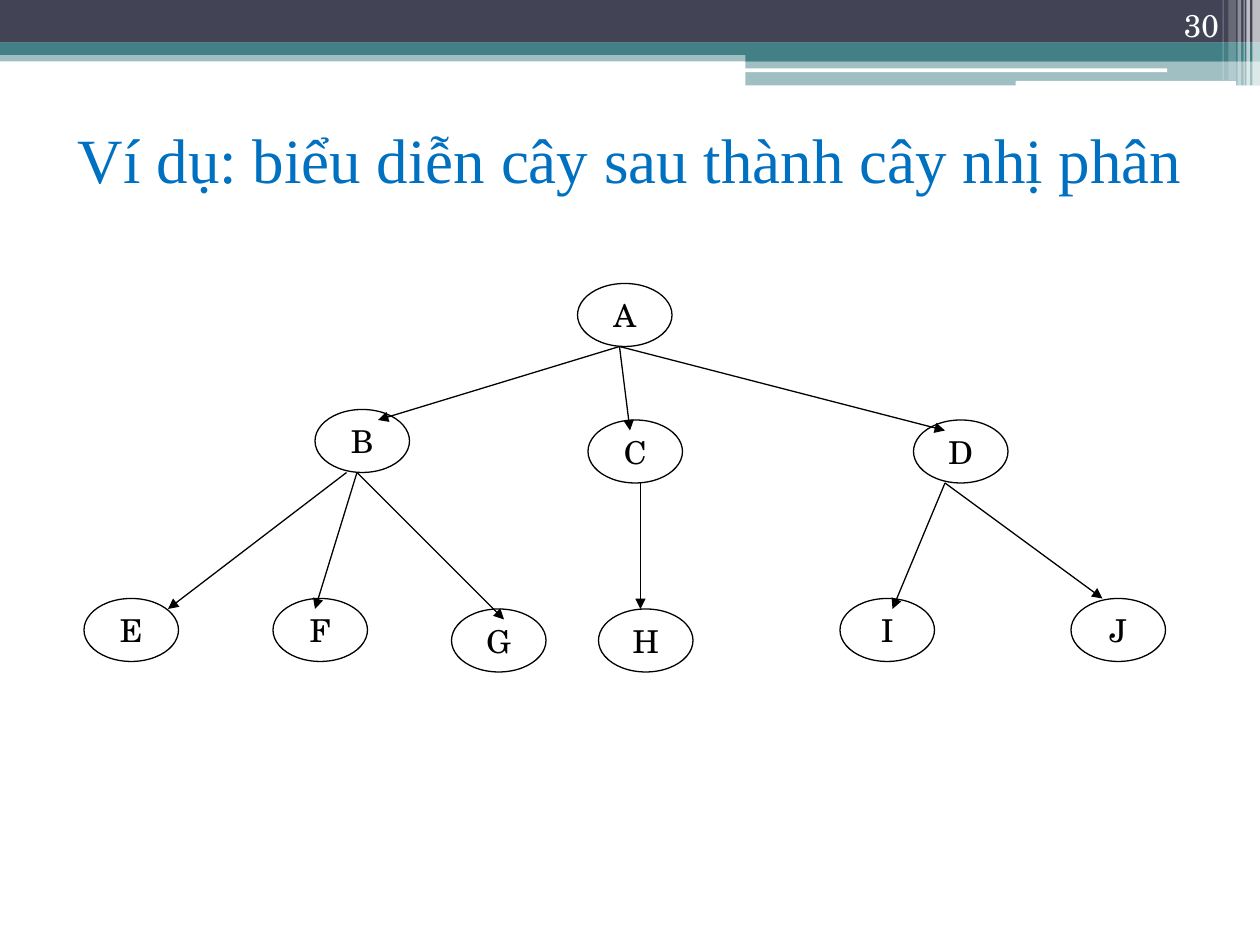
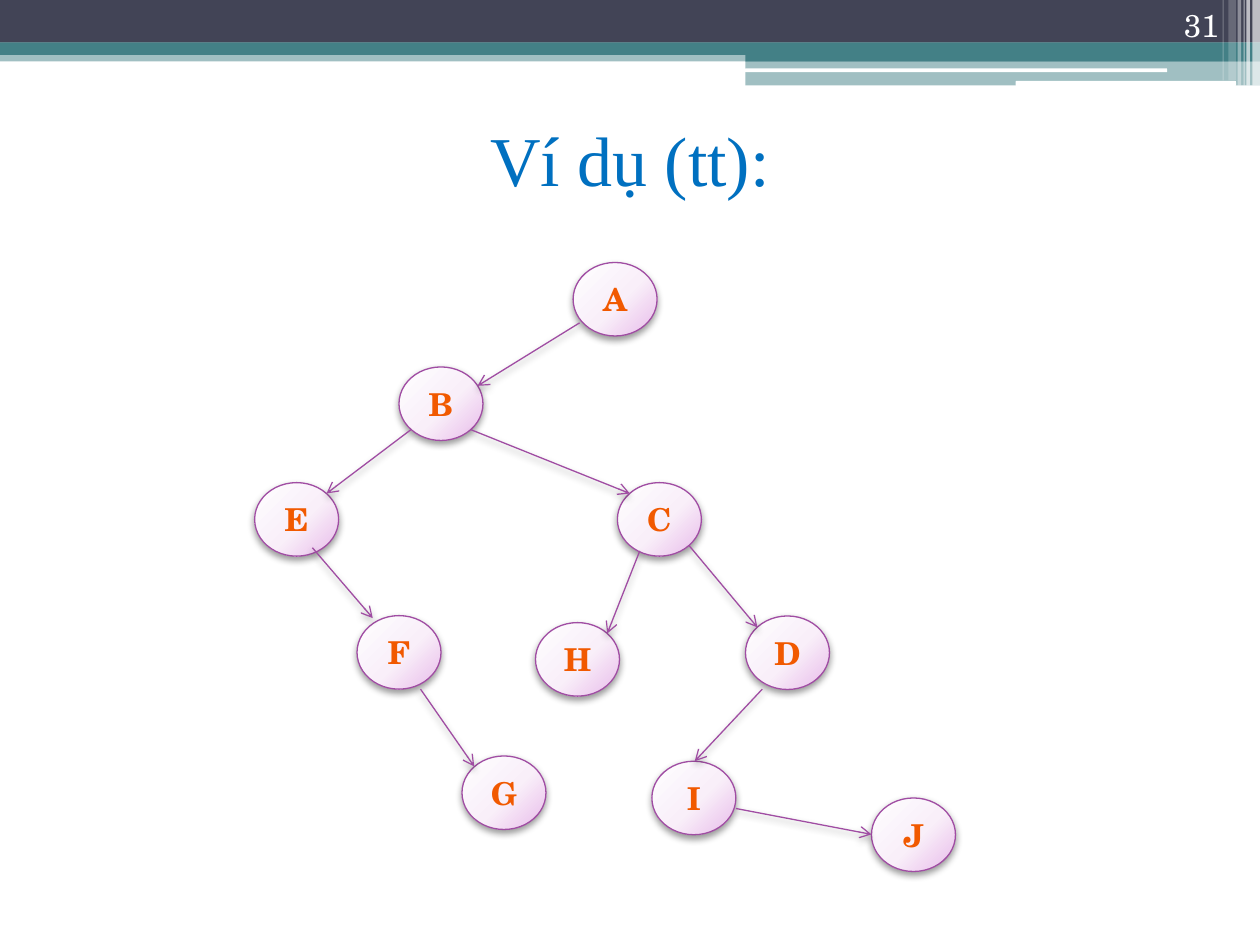
"""Build two slides that turn a general tree into a binary tree."""
import pptx
import pptx.dml.color
import pptx.enum.shapes
import pptx.enum.text
import pptx.oxml
import pptx.oxml.ns
import pptx.util

Pt = pptx.util.Pt
qn = pptx.oxml.ns.qn
SHAPE = pptx.enum.shapes.MSO_SHAPE
ALIGN = pptx.enum.text.PP_ALIGN
ANCHOR = pptx.enum.text.MSO_ANCHOR

BODY_FONT, TITLE_FONT = "TeX Gyre Schola", "Times New Roman"
BLACK, WHITE, NAVY, TEAL = "000000", "FFFFFF", "424456", "438086"
TITLE_BLUE, PURPLE, ORANGE = "0070C0", "A04DA3", "F15900"
NODE_STOPS = ((0, "FEFEFF"), (55, "F9EFF9"), (100, "E8BBEA"))

HEADER_BARS = (
    (0, 28.8, 720, 6.3, TEAL, 50),
    (0, 0, 720, 24.4, NAVY, 100),
    (0, 24.2, 720, 7.2, TEAL, 100),
    (426, 28, 294, 7.2, TEAL, 100),
    (426, 35.2, 294, 13.6, TEAL, 50),
)
HEADER_RULES = ((425.7, 39.1, 241.2, 2.2), (580.3, 46.3, 126, 2.9))
HEADER_STRIPES = (
    (715.6, 4.4, 49, 65),
    (712.2, 2, 49, 65),
    (710.6, 0.7, 49, 60),
    (707.2, 2, 49, 40),
    (702, 4.3, 46, 20),
    (698.6, 0.7, 46, 30),
)

GENERAL_NODES = {
    "A": (330, 162), "D": (522, 240), "C": (336, 240), "B": (180, 234),
    "F": (156, 342), "G": (258, 348), "H": (342, 348), "I": (480, 342),
    "E": (48, 342), "J": (612, 342),
}
GENERAL_EDGES = (
    (354, 198, 216, 240), (354, 198, 360, 246), (354, 198, 540, 246),
    (198, 270, 96, 348), (204, 270, 180, 348), (204, 270, 288, 354),
    (366, 276, 366, 348), (540, 276, 510, 348), (540, 276, 630, 342),
)
BINARY_NODES = {
    "A": (327.5, 150), "B": (228, 209.7), "C": (352.8, 275.8),
    "E": (145.5, 275.8), "D": (426, 352), "F": (204, 351.8),
    "H": (306, 355.8), "G": (264, 432), "I": (372.5, 435), "J": (498, 456),
}
BINARY_EDGES = (
    (331.2, 184.5, 272.9, 220.5), (234.9, 245.5, 186.6, 282),
    (178.5, 313, 213, 353.2), (269, 245.5, 359.9, 282),
    (393.8, 311.8, 432.8, 358.5), (240.3, 393.8, 271, 438),
    (365.6, 314.8, 347, 362), (420.5, 462, 498, 476.8),
    (435.6, 393.8, 397, 435),
)


def color(value):
    """Turn a hex string into a colour."""
    return pptx.dml.color.RGBColor.from_string(value)


def element(xml):
    """Parse one drawing element whose root tag lacks the namespace."""
    tag, rest = xml[1:].split(" ", 1)
    return pptx.oxml.parse_xml(f"<{tag} {pptx.oxml.ns.nsdecls('a')} {rest}")


def soft_shadow():
    """Make the drop shadow of the binary tree."""
    return element(
        f'<a:outerShdw blurRad="{Pt(4.1)}" dist="{Pt(2)}" dir="5400000" rotWithShape="0">'
        f'<a:srgbClr val="{BLACK}"><a:alpha val="40000"/></a:srgbClr></a:outerShdw>')


def node_gradient():
    """Make the round gradient of the binary tree nodes."""
    stops = "".join(f'<a:gs pos="{place * 1000}"><a:srgbClr val="{value}"/></a:gs>'
                    for place, value in NODE_STOPS)
    return element(
        f'<a:gradFill rotWithShape="1"><a:gsLst>{stops}</a:gsLst><a:path path="circle">'
        '<a:fillToRect l="-40000" t="-90000" r="140000" b="190000"/></a:path></a:gradFill>')


class Deck:
    """Holds the style and the current slide."""

    def __init__(self):
        """Start an empty presentation."""
        self.presentation = pptx.Presentation()
        self.presentation.slide_width = Pt(720)
        self.presentation.slide_height = Pt(540)
        self.slide = None

    def start_slide(self, title, title_size, number):
        """Add a slide with header, title and number."""
        self.slide = self.presentation.slides.add_slide(self.presentation.slide_layouts[6])
        for left, top, width, height, fill, opacity in HEADER_BARS:
            self.bar(SHAPE.RECTANGLE, (left, top, width, height), fill, opacity)
        for box in HEADER_RULES:
            self.bar(SHAPE.ROUNDED_RECTANGLE, box, WHITE)
        for left, width, height, opacity in HEADER_STRIPES:
            self.bar(SHAPE.RECTANGLE, (left, 0, width, height), WHITE, opacity)
        self.text((36, 48.5, 648, 84), title, title_size, TITLE_FONT, TITLE_BLUE,
                  ALIGN.CENTER, ANCHOR.MIDDLE)
        self.text((643.5, 0, 60, 28.8), number, 18, BODY_FONT, WHITE,
                  ALIGN.RIGHT, ANCHOR.BOTTOM)

    def shape(self, kind, box):
        """Add a preset shape without a shadow."""
        shape = self.slide.shapes.add_shape(kind, *map(Pt, box))
        shape.shadow.inherit = False
        return shape

    def bar(self, kind, box, fill, opacity=100):
        """Add a borderless header bar."""
        shape = self.shape(kind, box)
        shape.fill.solid()
        shape.fill.fore_color.rgb = color(fill)
        shape.line.fill.background()
        if opacity < 100:
            tint = shape.element.spPr.find(f"{qn('a:solidFill')}/{qn('a:srgbClr')}")
            tint.append(element(f'<a:alpha val="{opacity * 1000}"/>'))

    def fill_frame(self, frame, text, size, font, ink, align, anchor, bold=False):
        """Fill a text frame with one run."""
        frame.vertical_anchor = anchor
        paragraph = frame.paragraphs[0]
        paragraph.alignment = align
        run = paragraph.add_run()
        run.text = text
        run.font.size = Pt(size)
        run.font.name = font
        run.font.bold = bold
        run.font.color.rgb = color(ink)

    def text(self, box, *style):
        """Add a wrapped text box."""
        frame = self.slide.shapes.add_textbox(*map(Pt, box)).text_frame
        frame.word_wrap = True
        self.fill_frame(frame, *style)

    def node(self, label, box, outline, ink, glossy):
        """Add a labelled tree node."""
        shape = self.shape(SHAPE.OVAL, box)
        shape.fill.background()
        shape.line.color.rgb = color(outline)
        shape.line.width = Pt(0.75)
        if glossy:
            properties = shape.element.spPr
            properties.replace(properties.find(qn("a:noFill")), node_gradient())
            properties.find(qn("a:effectLst")).append(soft_shadow())
        shape.text_frame.word_wrap = False
        self.fill_frame(shape.text_frame, label, 18, BODY_FONT, ink,
                        ALIGN.CENTER, ANCHOR.MIDDLE, glossy)

    def edge(self, ends, outline, head, glossy):
        """Add an arrow between two nodes."""
        connector = self.slide.shapes.add_connector(
            pptx.enum.shapes.MSO_CONNECTOR.STRAIGHT, *map(Pt, ends))
        connector.line.color.rgb = color(outline)
        connector.line.width = Pt(0.75)
        properties = connector.element.spPr
        properties.find(qn("a:ln")).append(element(f'<a:tailEnd type="{head}"/>'))
        effects = element("<a:effectLst />")
        if glossy:
            effects.append(soft_shadow())
        properties.append(effects)

    def tree(self, nodes, edges, node_size, outline, ink, head, glossy=False):
        """Draw all nodes and then all arrows."""
        for label, corner in nodes.items():
            self.node(label, corner + node_size, outline, ink, glossy)
        for ends in edges:
            self.edge(ends, outline, head, glossy)


def main():
    """Build and save both slides."""
    deck = Deck()
    deck.start_slide("Ví dụ: biểu diễn cây sau thành cây nhị phân", 36, "30")
    deck.tree(GENERAL_NODES, GENERAL_EDGES, (54, 36), BLACK, BLACK, "triangle")
    deck.start_slide("Ví dụ (tt):", 40, "31")
    deck.tree(BINARY_NODES, BINARY_EDGES, (48, 42), PURPLE, ORANGE, "arrow", glossy=True)
    deck.presentation.save("out.pptx")


if __name__ == "__main__":
    main()
